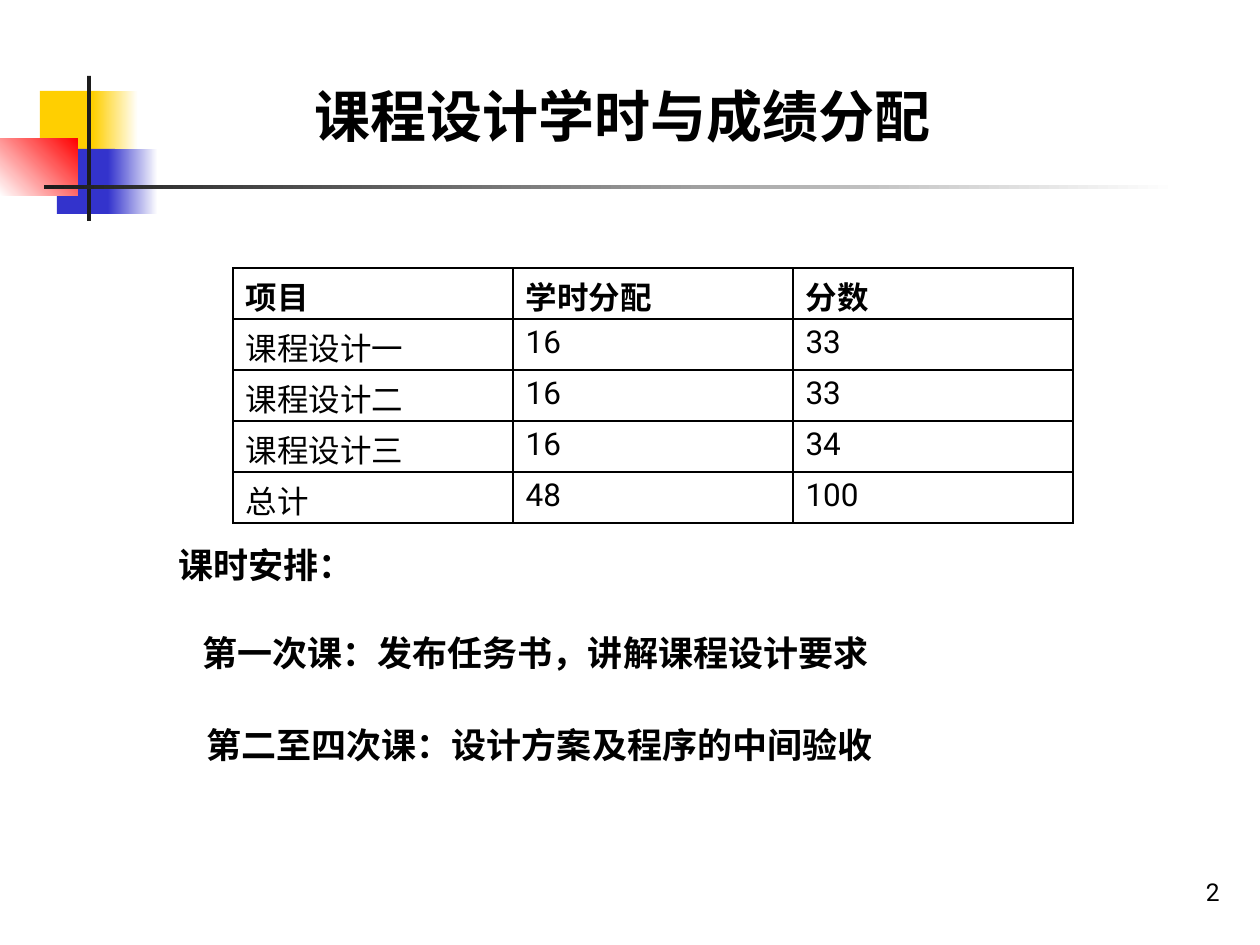
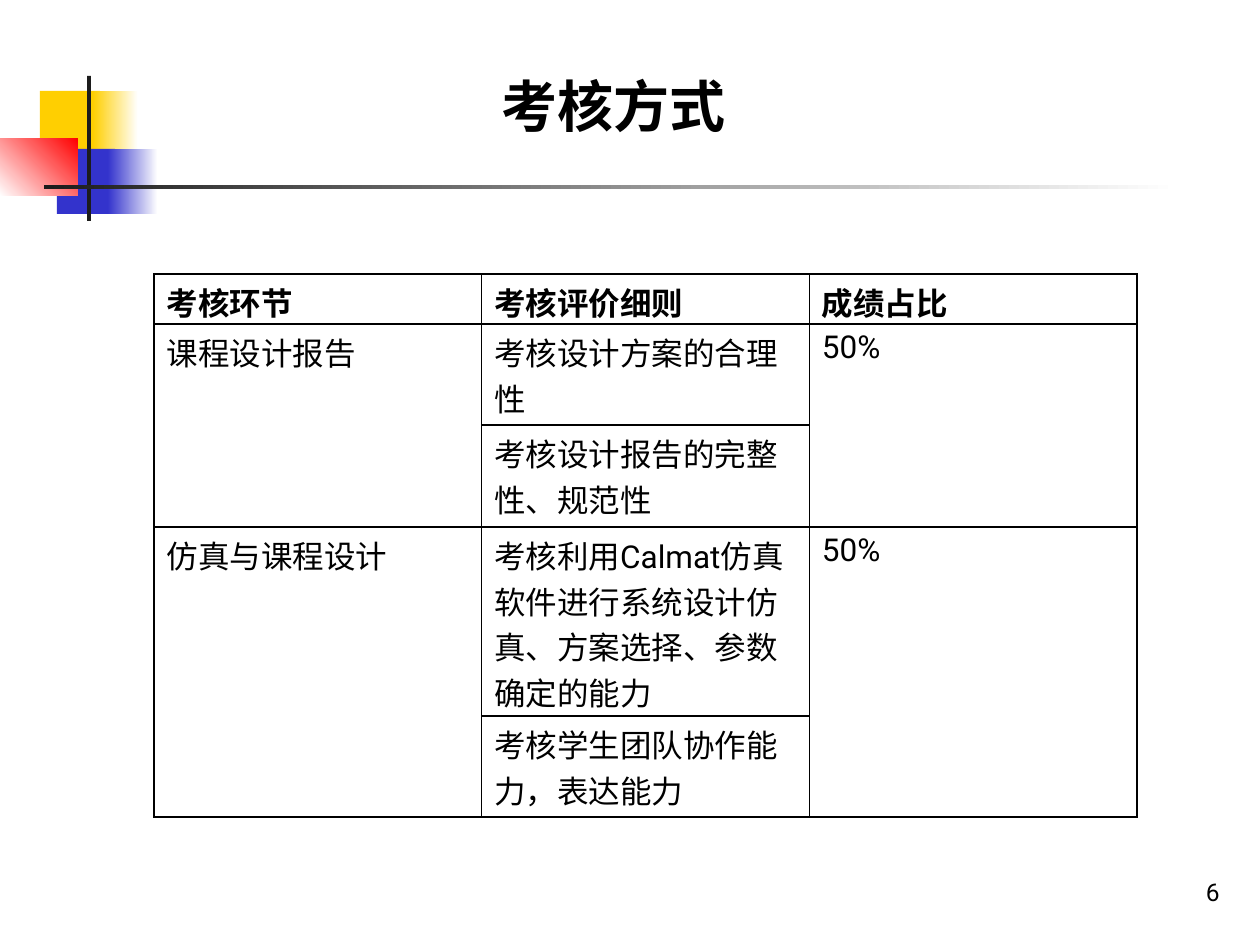
import pptx
import pptx.dml.color
import pptx.enum.shapes
import pptx.enum.text
import pptx.util
from lxml import etree

RGB = pptx.dml.color.RGBColor
BLACK = RGB(0x00, 0x00, 0x00)
WHITE = RGB(0xFF, 0xFF, 0xFF)
INK = RGB(0x1C, 0x1C, 0x1C)
GOLD = RGB(0xFF, 0xCF, 0x01)
BLUE = RGB(0x33, 0x33, 0xCC)
RED = RGB(0xFF, 0x00, 0x00)

HEAD, BODY = "Arial", "Roboto"
ALIGN = pptx.enum.text.PP_ALIGN
ANCHOR = pptx.enum.text.MSO_ANCHOR
DRAW = "http://schemas.openxmlformats.org/drawingml/2006/main"
SCALE = pptx.util.Inches(1) / 126

# box, first colour, second colour (None for a plain fill), angle
MOTIF = [
    ((40, 91, 60, 65), GOLD, None, 0),
    ((93, 91, 45, 65), GOLD, WHITE, 0),
    ((57, 149, 58, 65), BLUE, None, 0),
    ((108, 149, 50, 65), BLUE, WHITE, 0),
    ((0, 138, 78, 58), WHITE, RED, 45),
    ((87, 76, 4, 145), INK, None, 0),
    ((44, 185, 1134, 4), INK, WHITE, 0),
]


def px(n):
    return pptx.util.Emu(round(n * SCALE))


def style(par, size, face=BODY, bold=False, align=ALIGN.LEFT):
    par.alignment = align
    par.font.name = face
    par.font.size = pptx.util.Pt(size)
    par.font.bold = bold
    par.font.color.rgb = BLACK


def block(slide, box, fill, fade, angle):
    """Draw a borderless rectangle, fading to a second colour if one is given."""
    rect = pptx.enum.shapes.MSO_SHAPE.RECTANGLE
    shape = slide.shapes.add_shape(rect, *map(px, box))
    shape.shadow.inherit = False
    shape.line.fill.background()
    if fade is None:
        shape.fill.solid()
        shape.fill.fore_color.rgb = fill
    else:
        shape.fill.gradient()
        shape.fill.gradient_angle = angle
        for stop, tone in zip(shape.fill.gradient_stops, (fill, fade)):
            stop.color.rgb = tone
    return shape


def motif(slide):
    """Draw the corner motif and move it to the layout all slides share."""
    tree = slide.slide_layout.shapes.element
    for num, part in enumerate(MOTIF, 101):
        item = block(slide, *part).element
        item.nvSpPr.cNvPr.set("id", str(num))
        tree.append(item)


def title(slide, text, box):
    shape = slide.shapes.title
    shape.left, shape.top, shape.width, shape.height = map(px, box)
    frame = shape.text_frame
    frame.text = text
    frame.auto_size = pptx.enum.text.MSO_AUTO_SIZE.NONE
    frame.vertical_anchor = ANCHOR.MIDDLE
    frame.margin_top = frame.margin_bottom = 0
    style(frame.paragraphs[0], 32, HEAD, bold=True)


def label(slide, text, box, size=20, bold=True, align=ALIGN.LEFT,
          anchor=ANCHOR.MIDDLE):
    frame = slide.shapes.add_textbox(*map(px, box)).text_frame
    frame.word_wrap = True
    frame.vertical_anchor = anchor
    if anchor == ANCHOR.MIDDLE:
        frame.margin_top = frame.margin_bottom = 0
    frame.text = text
    style(frame.paragraphs[0], size, bold=bold, align=align)


def border(cell):
    props = cell._tc.get_or_add_tcPr()
    for at, side in enumerate(("lnL", "lnR", "lnT", "lnB")):
        line = etree.Element(f"{{{DRAW}}}{side}", w="12700")
        fill = etree.SubElement(line, f"{{{DRAW}}}solidFill")
        etree.SubElement(fill, f"{{{DRAW}}}srgbClr", val=str(BLACK))
        props.insert(at, line)


def grid(slide, rows, left, top, width, tall):
    """Draw a ruled table; a cell of None joins the one above it."""
    cols = len(rows[0])
    box = map(px, (left, top, width, sum(tall)))
    table = slide.shapes.add_table(len(rows), cols, *box).table
    table.first_row = table.horz_banding = False
    for col in table.columns:
        col.width = px(width / cols)
    for r, row in enumerate(rows):
        table.rows[r].height = px(tall[r])
        for c, text in enumerate(row):
            cell = table.cell(r, c)
            cell.fill.background()
            border(cell)
            cell.margin_top, cell.margin_bottom = px(5), 0
            if text is None:
                table.cell(r - 1, c).merge(cell)
                continue
            cell.text = text
            style(cell.text_frame.paragraphs[0], 18, bold=r == 0)


def page(deck, head, box, number):
    slide = deck.slides.add_slide(deck.slide_layouts[5])
    title(slide, head, box)
    label(slide, number, (970, 850, 262, 63), 14, False, ALIGN.RIGHT,
          ANCHOR.BOTTOM)
    return slide


def hours(deck):
    slide = page(deck, "课程设计学时与成绩分配", (302, 75, 745, 81), "2")
    rows = [
        ("项目", "学时分配", "分数"),
        ("课程设计一", "16", "33"),
        ("课程设计二", "16", "33"),
        ("课程设计三", "16", "34"),
        ("总计", "48", "100"),
    ]
    grid(slide, rows, 233, 268, 840, [51] * len(rows))
    label(slide, "课时安排：", (166, 537, 203, 55))
    label(slide, "第一次课：发布任务书，讲解课程设计要求", (190, 625, 701, 55))
    label(slide, "第二至四次课：设计方案及程序的中间验收", (194, 717, 701, 55))
    return slide


def grading(deck):
    slide = page(deck, "考核方式", (489, 65, 745, 81), "6")
    rows = [
        ("考核环节", "考核评价细则", "成绩占比"),
        ("课程设计报告", "考核设计方案的合理性", "50%"),
        (None, "考核设计报告的完整性、规范性", None),
        ("仿真与课程设计",
         "考核利用Calmat仿真软件进行系统设计仿真、方案选择、参数确定的能力", "50%"),
        (None, "考核学生团队协作能力，表达能力", None),
    ]
    grid(slide, rows, 154, 274, 983, [50, 101, 102, 189, 101])


def main():
    deck = pptx.Presentation()
    deck.slide_width, deck.slide_height = px(1260), px(945)
    motif(hours(deck))
    grading(deck)
    deck.save("out.pptx")


if __name__ == "__main__":
    main()
